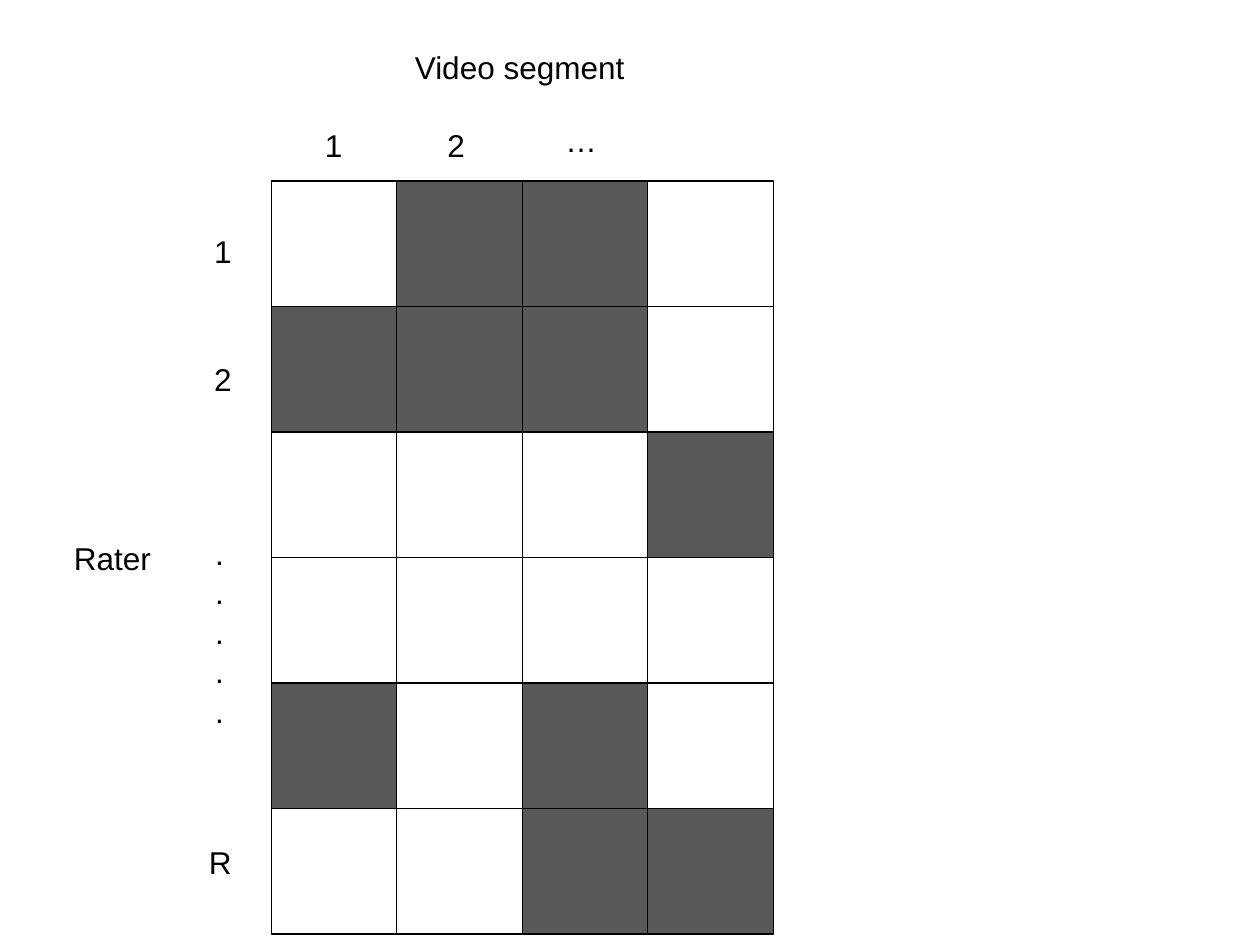
"""Build a slide showing which raters judged which video segments."""
import pptx
import pptx.dml.color
import pptx.enum.shapes
import pptx.enum.text
import pptx.util

Cm = pptx.util.Cm
Pt = pptx.util.Pt
Align = pptx.enum.text.PP_ALIGN

BLACK = pptx.dml.color.RGBColor(0x00, 0x00, 0x00)
GREY = pptx.dml.color.RGBColor(0x59, 0x59, 0x59)

GRID_LEFT, GRID_TOP, CELL = 5.47, 3.65, 2.53
LABEL_HEIGHT = 1.02
RATINGS = (
    (0, 1, 1, 0),
    (1, 1, 1, 0),
    (0, 0, 0, 1),
    (0, 0, 0, 0),
    (1, 0, 1, 0),
    (0, 0, 1, 1),
)
SEGMENT_LABELS = (("1", 6.3, 2.41), ("2", 8.77, 2.41), ("…", 11.15, 2.31))
RATER_LABELS = (("1", 4.07, 4.55), ("2", 4.07, 7.14), ("R", 3.96, 16.87))


class Painter:
    font_name = "Arial"
    font_size = Pt(18)
    line_width = Pt(0.75)

    def __init__(self, page):
        self.page = page

    def cell(self, row, column, rated):
        box = self.page.shapes.add_shape(
            pptx.enum.shapes.MSO_SHAPE.RECTANGLE,
            Cm(GRID_LEFT + column * CELL), Cm(GRID_TOP + row * CELL),
            Cm(CELL), Cm(CELL))
        box.shadow.inherit = False
        if rated:
            box.fill.solid()
            box.fill.fore_color.rgb = GREY
        else:
            box.fill.background()
        box.line.color.rgb = BLACK
        box.line.width = self.line_width

    def label(self, text, left, top, width=1.22, height=LABEL_HEIGHT,
              align=Align.LEFT, wrap=True, gap=0):
        box = self.page.shapes.add_textbox(Cm(left), Cm(top), Cm(width), Cm(height))
        frame = box.text_frame
        frame.word_wrap = wrap
        frame.auto_size = pptx.enum.text.MSO_AUTO_SIZE.SHAPE_TO_FIT_TEXT
        frame.text = text
        for para in frame.paragraphs:
            para.alignment = align
            para.space_after = Pt(gap)
            para.font.name = self.font_name
            para.font.size = self.font_size
            para.font.color.rgb = BLACK


def main():
    deck = pptx.Presentation()
    deck.slide_width, deck.slide_height = Cm(25.4), Cm(19.05)
    painter = Painter(deck.slides.add_slide(deck.slide_layouts[6]))

    for row, ratings in enumerate(RATINGS):
        for column, rated in enumerate(ratings):
            painter.cell(row, column, rated)

    painter.label("Video segment", 5.38, 0.84, width=10.19, align=Align.CENTER)
    painter.label("Rater", 1.24, 10.74, width=2.08, wrap=False)
    for text, left, top in SEGMENT_LABELS + RATER_LABELS:
        painter.label(text, left, top)
    painter.label("\n".join("." * 5), 4.09, 10.64, height=4.11, gap=0.9)

    deck.save("out.pptx")


if __name__ == "__main__":
    main()
